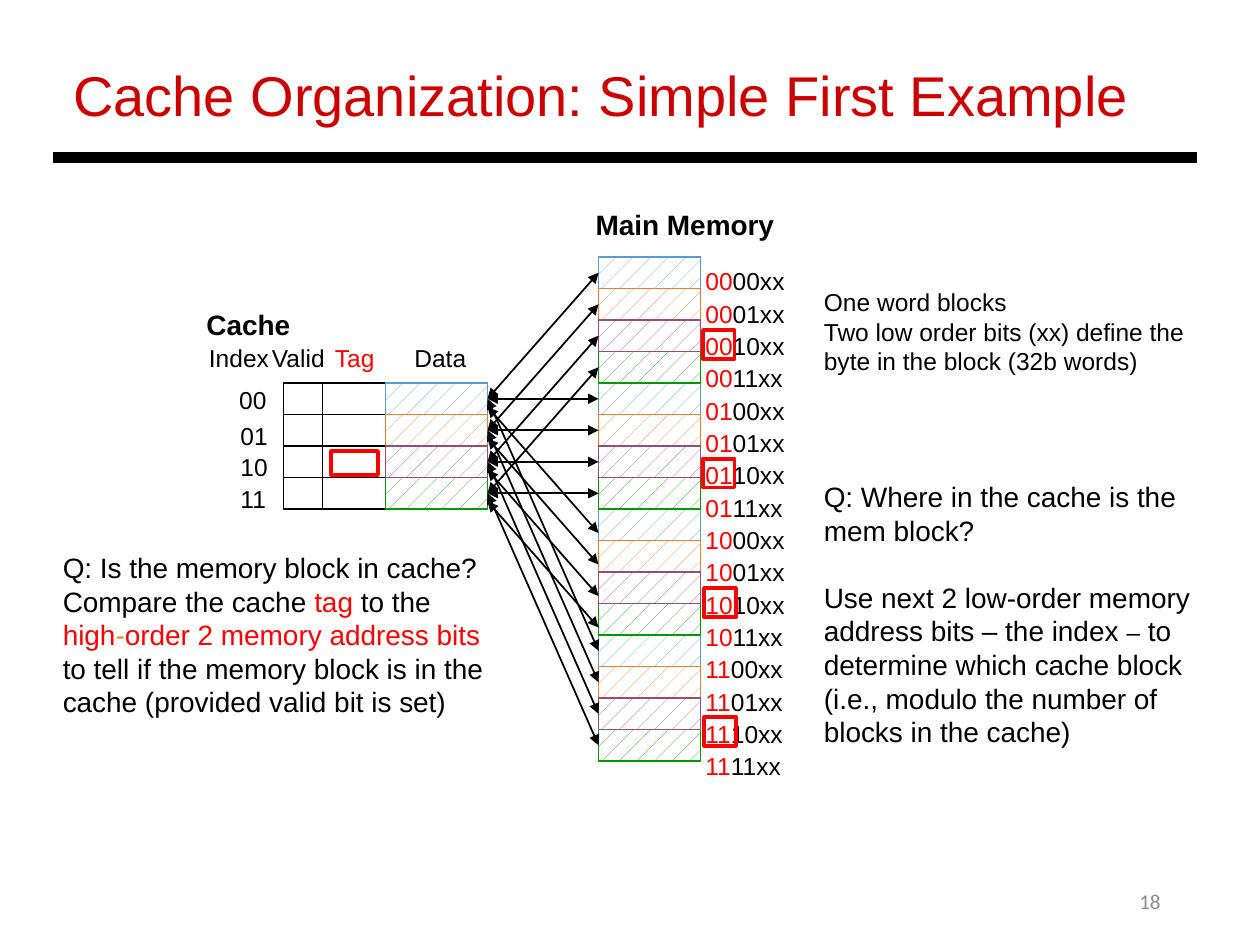
from lxml.etree import SubElement
from pptx import Presentation
from pptx.dml.color import RGBColor
from pptx.enum.dml import MSO_PATTERN
from pptx.enum.shapes import MSO_CONNECTOR, MSO_SHAPE
from pptx.enum.text import MSO_ANCHOR, MSO_AUTO_SIZE, PP_ALIGN
from pptx.oxml.ns import qn
from pptx.util import Pt

SCALE = 9144  # 100 px to the inch
COLORS = {
    "black": "000000", "white": "FFFFFF", "title": "CC0000", "red": "FF0000",
    "gray": "8C8C8C", "blue": "5B9BD5", "green": "009900",
    "orange": "ED7D31", "purple": "954F72",
}
BANDS = ["blue", "orange", "purple", "green"]  # colour of each cache index
PAINT = ["blue", "green", "orange", "purple"]  # back to front
ROW, WIDE = 25, 81
CACHE_X, CACHE_Y = 306, 304
MEM_X, MEM_Y = 475, 204
MEM_ROWS = 16


def px(n):
    return round(n * SCALE)


def rgb(name):
    return RGBColor.from_string(COLORS[name])


class Page:
    def __init__(self, slide, font="Arial"):
        self.slide, self.shapes, self.font = slide, slide.shapes, font

    def put(self, frame, paras, size, color="black", bold=False, font=None):
        """Fill a frame; a paragraph is a string or a list of (text, colour, size) runs."""
        for i, para in enumerate(paras):
            p = frame.paragraphs[0] if i == 0 else frame.add_paragraph()
            p.font.name, p.font.size = font or self.font, Pt(size)
            p.font.bold = bold
            p.font.color.rgb = rgb(color)
            if isinstance(para, str):
                para = [(para,)]
            for text, *style in para:
                run = p.add_run()
                run.text = text
                if style:
                    run.font.color.rgb = rgb(style[0])
                if len(style) > 1:
                    run.font.size = Pt(style[1])

    def title(self, text, x, y, w, h, size):
        box = self.shapes.title
        box.left, box.top, box.width, box.height = map(px, (x, y, w, h))
        frame = box.text_frame
        frame.vertical_anchor = MSO_ANCHOR.TOP
        frame.auto_size = MSO_AUTO_SIZE.SHAPE_TO_FIT_TEXT
        self.put(frame, [text], size, "title")
        frame.paragraphs[0].alignment = PP_ALIGN.LEFT

    def text(self, paras, x, y, w, h, size, wrap=True, **style):
        frame = self.shapes.add_textbox(*map(px, (x, y, w, h))).text_frame
        frame.word_wrap = wrap
        frame.auto_size = MSO_AUTO_SIZE.SHAPE_TO_FIT_TEXT
        self.put(frame, paras, size, **style)
        return frame

    def label(self, text, x, y, w, h=34, size=14, **style):
        self.text([text], x, y, w, h, size, wrap=False, **style)

    def rect(self, x, y, w, h, color="black", weight=1, hatch=False):
        box = self.shapes.add_shape(MSO_SHAPE.RECTANGLE, *map(px, (x, y, w, h)))
        box.shadow.inherit = False
        box.line.color.rgb, box.line.width = rgb(color), Pt(weight)
        if hatch:
            box.fill.patterned()
            box.fill.pattern = MSO_PATTERN.PERCENT_5
            box.fill.fore_color.rgb = rgb(color)
            box.fill.back_color.rgb = rgb("white")
        else:
            box.fill.background()
        return box

    def line(self, x1, y1, x2, y2, weight=1):
        line = self.shapes.add_connector(
            MSO_CONNECTOR.STRAIGHT, *map(px, (x1, y1, x2, y2)))
        line.line.color.rgb, line.line.width = rgb("black"), Pt(weight)
        SubElement(line._element.spPr, qn("a:effectLst"))
        return line

    def arrow(self, x1, y1, x2, y2):
        line = self.line(x1, y1, x2, y2)
        ln = line._element.spPr.find(qn("a:ln"))
        for end in ("a:headEnd", "a:tailEnd"):
            SubElement(ln, qn(end), type="triangle")
        return line

    def link(self, start, side, end, other):
        """Double arrow between the side middles of two cells."""
        line = self.arrow(0, 0, 1, 1)
        line.begin_connect(start, side)
        line.end_connect(end, other)

    def column(self, x, w):
        self.rect(x, CACHE_Y, w, 4 * ROW)
        for i in range(1, 4):
            self.line(x, CACHE_Y + i * ROW, x + w, CACHE_Y + i * ROW)

    def cells(self, x, y, count):
        """Stack of hatched cells, listed from top to bottom."""
        made = {}
        for color in PAINT:
            for i in range(BANDS.index(color), count, 4):
                made[i] = self.rect(x, y + i * ROW, WIDE, ROW, color, hatch=True)
        return [made[i] for i in range(count)]


def draw(page):
    number = page.text(["18"], 706, 695, 225, 40, 12, color="gray", font="Calibri")
    number.auto_size = MSO_AUTO_SIZE.NONE
    number.vertical_anchor = MSO_ANCHOR.MIDDLE
    number.paragraphs[0].alignment = PP_ALIGN.RIGHT
    page.title("Cache Organization: Simple First Example", 48, 43, 913, 64, 32)
    page.line(42, 125, 950, 125, 6)

    # Grids and cells
    for x, w in ((CACHE_X, WIDE), (256, 50), (225, 31)):
        page.column(x, w)
    right, bottom = MEM_X + WIDE, MEM_Y + MEM_ROWS * ROW
    for y in range(MEM_Y, bottom, ROW):
        page.line(MEM_X, y, right, y)
    for x in (MEM_X, right):
        page.line(x, MEM_Y, x, bottom)
    memory = page.cells(MEM_X, MEM_Y, MEM_ROWS)
    cache = page.cells(CACHE_X, CACHE_Y, 4)

    # Labels
    page.label("Cache", 154, 239, 87, 37, 16, bold=True)
    page.label("Main Memory", 463, 160, 164, 37, 16, bold=True)
    page.label("Index", 156, 267, 68)
    page.label("Valid", 206, 267, 62)
    page.label("Tag", 256, 267, 52, color="red")
    page.label("Data", 319, 267, 62)
    for index, x, y in (("00", 180, 301), ("01", 181, 329),
                        ("10", 181, 354), ("11", 181, 379)):
        page.label(index, x, y, 42)

    # Each cache row serves four memory blocks
    for i, row in enumerate(cache):
        page.link(memory[i], 1, row, 3)
        page.link(memory[i + 4], 1, row, 3)
        page.arrow(MEM_X, 423 + i * ROW, CACHE_X + WIDE, 323 + i * ROW)
        page.link(row, 3, memory[i + 12], 1)

    bits = ["00", "01", "10", "11"]
    blocks = [[(tag, "red"), (index + "xx", "black")] for tag in bits for index in bits]
    for p in page.text(blocks, 550, 204, 105, 425, 14).paragraphs:
        p.line_spacing = 1.1

    # Notes
    page.text(["One word blocks",
               "Two low order bits (xx) define the byte in the block (32b words)"],
              644, 223, 319, 81, 14)
    where = page.text(
        ["Q: Where in the cache is the mem block?",
         [("Use next 2 low-order memory address bits – the index ",),
          ("–", "black", 14),
          (" to determine which cache block (i.e., modulo the number of "
           "blocks in the cache)",)]],
        644, 376, 340, 226, 16)
    where.paragraphs[1].space_before = Pt(19)
    page.text(
        ["Q: Is the memory block in cache?",
         [("Compare the cache ",), ("tag ", "red"), ("to the ",),
          ("high", "red"), ("-", "orange"), ("order 2 memory address bits ", "red"),
          ("to tell if the memory block is in the cache (provided valid bit is set)",)]],
        40, 432, 357, 145, 16)

    # Tag marks
    page.rect(263, 358, 37, 19, "red", 2.25)
    for x, y in ((558, 262), (558, 364), (559, 467), (559, 569)):
        page.rect(x, y, 25, 23, "red", 2.25)


def main():
    deck = Presentation()
    deck.slide_width, deck.slide_height = px(1000), px(750)
    draw(Page(deck.slides.add_slide(deck.slide_layouts[5])))
    deck.save("out.pptx")


if __name__ == "__main__":
    main()
